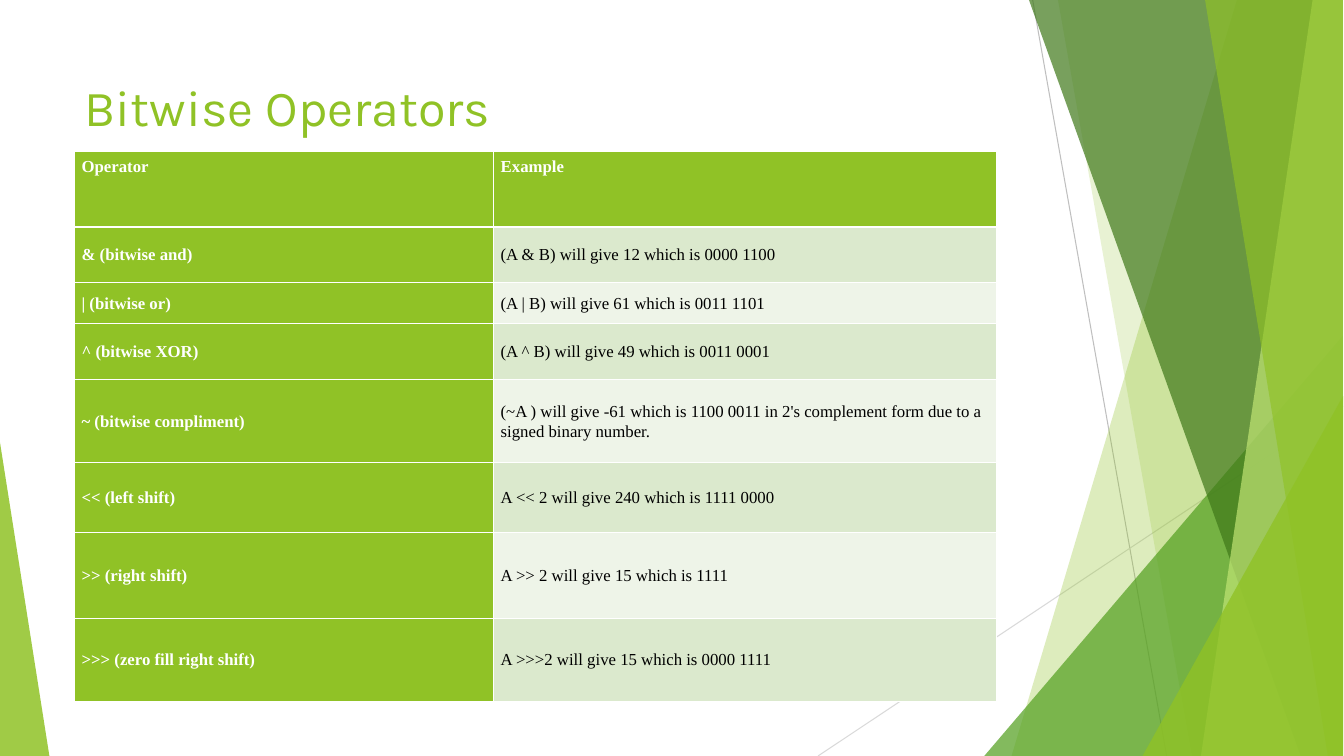
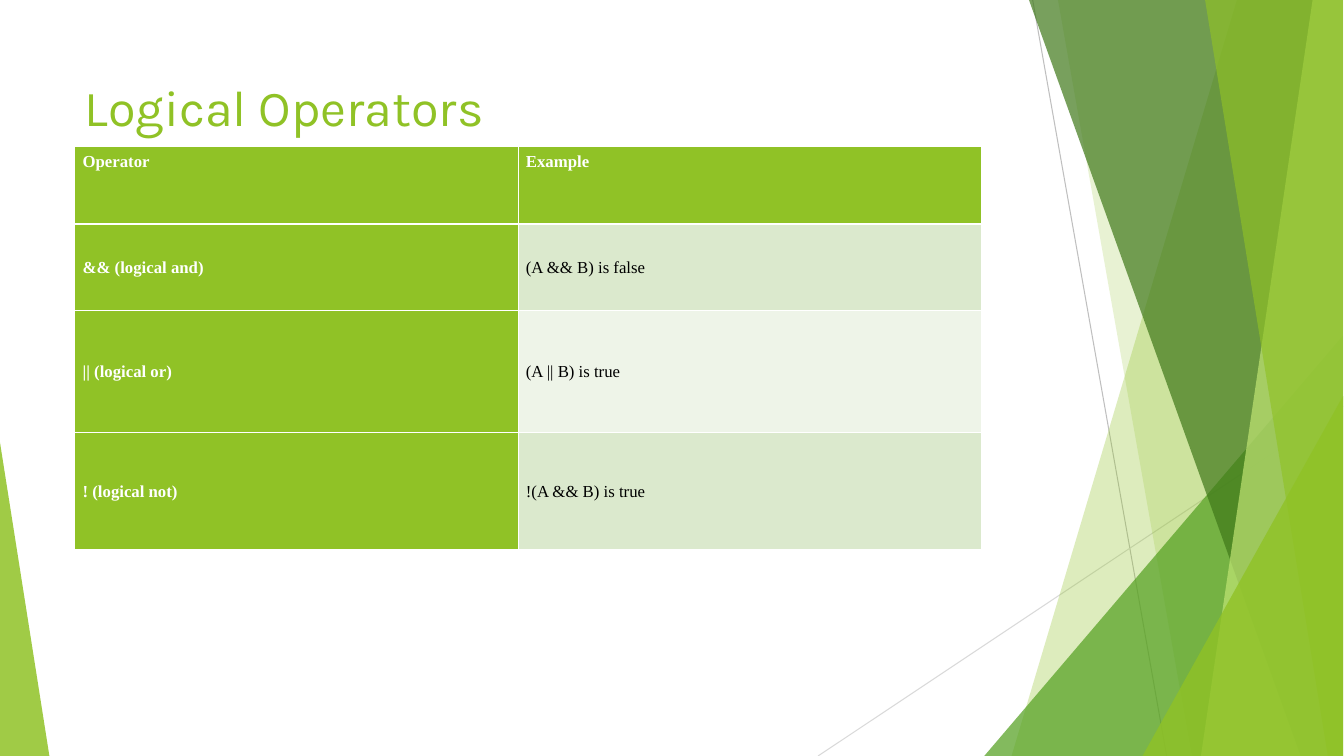
"""Build two slides of operator tables on a shared green faceted backdrop."""
from lxml import etree
from pptx import Presentation
from pptx.dml.color import RGBColor
from pptx.enum.shapes import MSO_CONNECTOR, MSO_SHAPE
from pptx.enum.text import MSO_ANCHOR, PP_ALIGN
from pptx.oxml.ns import qn
from pptx.util import Inches, Pt

STRAIGHT = MSO_CONNECTOR.STRAIGHT
TRIANGLE = MSO_SHAPE.ISOSCELES_TRIANGLE
MIDDLE = MSO_ANCHOR.MIDDLE
TOP = MSO_ANCHOR.TOP
LEFT = PP_ALIGN.LEFT

COLORS = {
    "lime": "90C226",
    "green": "54A021",
    "forest": "3F7819",
    "pale": "C0E474",
    "band_dark": "DBE9CD",
    "band_light": "EEF4E8",
    "line_dark": "BFBFBF",
    "line_light": "D9D9D9",
    "white": "FFFFFF",
    "black": "000000",
}
TITLE_FONT = "Karla"
TABLE_FONT = "Times New Roman"
TITLE_LAYOUT = 5
WIDTH, HEIGHT = 13.34, 7.5
EDGE = 13.33
FACET_TOP = -0.01
THIN, THICK = 0.45, 1.47


def rgb(name):
    return RGBColor.from_string(COLORS[name])


class OperatorDeck:
    """Hold the deck style and the current page."""

    def __init__(self):
        self.deck = Presentation()
        self.deck.slide_width = Inches(WIDTH)
        self.deck.slide_height = Inches(HEIGHT)
        self.layout = self.deck.slide_layouts[TITLE_LAYOUT]
        for holder in list(self.layout.placeholders)[1:]:
            holder.element.getparent().remove(holder.element)
        self.page = None

    def add_page(self, title):
        first = self.page is None
        self.page = self.deck.slides.add_slide(self.layout)
        if first:
            self.add_backdrop()
        self.add_title(title)

    def add_backdrop(self):
        self.add_line((10.25, 0), (11.58, HEIGHT), "line_dark")
        self.add_line((EDGE, 4.03), (8.12, HEIGHT), "line_light")
        self.add_facet(12.28, 10.04, "lime", 30)
        self.add_facet(10.5, 11.83, "lime", 20)
        self.add_triangle(9.77, 3.33, 3.56, 1, "green", 72)
        self.add_facet(10.21, 12.91, "forest", 70)
        self.add_facet(13.03, 11.92, "pale", 70)
        self.add_facet(11.96, 13.18, "lime", 65)
        self.add_triangle(11.34, 3.93, 1.99, 1, "lime", 80)
        self.add_triangle(0, 4.39, 0.49, 0, "lime", 85)
        for shape in list(self.page.shapes):
            if not shape.is_placeholder:
                self.layout.shapes.element.append(shape.element)

    def add_line(self, start, end, color):
        ends = [Inches(value) for value in (*start, *end)]
        line = self.page.shapes.add_connector(STRAIGHT, *ends)
        line.line.color.rgb = rgb(color)
        line.line.width = Pt(0.75)
        etree.SubElement(line.element.spPr, qn("a:effectLst"))

    def add_facet(self, top_x, bottom_x, color, opacity):
        start = Inches(top_x), Inches(FACET_TOP)
        corners = [(EDGE, FACET_TOP), (EDGE, HEIGHT), (bottom_x, HEIGHT)]
        builder = self.page.shapes.build_freeform(*start)
        builder.add_line_segments([(Inches(x), Inches(y)) for x, y in corners])
        self.paint(builder.convert_to_shape(), color, opacity)

    def add_triangle(self, left, top, width, apex, color, opacity):
        triangle = self.page.shapes.add_shape(
            TRIANGLE, Inches(left), Inches(top), Inches(width), Inches(HEIGHT - top)
        )
        triangle.adjustments[0] = apex
        self.paint(triangle, color, opacity)

    def paint(self, shape, color, opacity):
        shape.shadow.inherit = False
        shape.fill.solid()
        shape.fill.fore_color.rgb = rgb(color)
        shape.line.fill.background()
        tint = shape.element.spPr.find(".//" + qn("a:srgbClr"))
        etree.SubElement(tint, qn("a:alpha"), val=str(opacity * 1000))

    def add_title(self, text):
        box = self.page.shapes.title
        box.left, box.top = Inches(0.74), Inches(0.67)
        box.width, box.height = Inches(9.4), Inches(0.78)
        box.text_frame.word_wrap = True
        box.text_frame.vertical_anchor = MIDDLE
        para = box.text_frame.paragraphs[0]
        para.alignment = LEFT
        self.add_span(para, text, TITLE_FONT, 36, "lime")

    def add_span(self, para, text, font, size, color, bold=False):
        span = para.add_run()
        span.text = text
        span.font.name = font
        span.font.size = Pt(size)
        span.font.bold = bold
        span.font.color.rgb = rgb(color)

    def add_table(self, top, widths, heights, rows, inset):
        frame = self.page.shapes.add_table(
            len(rows), len(widths), Inches(0.74), Inches(top),
            Inches(sum(widths)), Inches(sum(heights)),
        )
        table = frame.table
        for column, width in zip(table.columns, widths):
            column.width = Inches(width)
        for row, height in zip(table.rows, heights):
            row.height = Inches(height)
        for row_index, texts in enumerate(rows):
            for column_index, text in enumerate(texts):
                cell = table.cell(row_index, column_index)
                self.fill_cell(cell, text, row_index, column_index, inset)

    def fill_cell(self, cell, text, row_index, column_index, inset):
        heading = row_index == 0 or column_index == 0
        band = "band_dark" if row_index % 2 else "band_light"
        self.add_borders(cell, row_index)
        cell.fill.solid()
        cell.fill.fore_color.rgb = rgb("lime" if heading else band)
        cell.vertical_anchor = MIDDLE if row_index else TOP
        cell.margin_left = cell.margin_right = Inches(inset)
        cell.margin_top = cell.margin_bottom = Inches(0.05)
        para = cell.text_frame.paragraphs[0]
        para.line_spacing = 1.07
        para.space_after = Pt(15)
        color = "white" if heading else "black"
        self.add_span(para, text, TABLE_FONT, 12, color, heading)

    def add_borders(self, cell, row_index):
        widths = {
            "a:lnL": THIN,
            "a:lnR": THIN,
            "a:lnT": THICK if row_index == 1 else THIN,
            "a:lnB": THICK if row_index == 0 else THIN,
        }
        properties = cell._tc.get_or_add_tcPr()
        for tag, width in widths.items():
            border = etree.SubElement(properties, qn(tag), w=str(int(Pt(width))))
            fill = etree.SubElement(border, qn("a:solidFill"))
            etree.SubElement(fill, qn("a:srgbClr"), val=COLORS["white"])

    def save(self):
        self.deck.save("out.pptx")


HEADER = ("Operator", "Example")
BITWISE_ROWS = [
    HEADER,
    ("& (bitwise and)", "(A & B) will give 12 which is 0000 1100"),
    ("| (bitwise or)", "(A | B) will give 61 which is 0011 1101"),
    ("^ (bitwise XOR)", "(A ^ B) will give 49 which is 0011 0001"),
    (
        "~ (bitwise compliment)",
        "(~A ) will give -61 which is 1100 0011 in 2's complement form "
        "due to a signed binary number.",
    ),
    ("<< (left shift)", "A << 2 will give 240 which is 1111 0000"),
    (">> (right shift)", "A >> 2 will give 15 which is 1111"),
    (">>> (zero fill right shift)", "A >>>2 will give 15 which is 0000 1111"),
]
LOGICAL_ROWS = [
    HEADER,
    ("&& (logical and)", "(A && B) is false"),
    ("|| (logical or)", "(A || B) is true"),
    ("! (logical not)", "!(A && B) is true"),
]


def main():
    deck = OperatorDeck()
    deck.add_page("Bitwise Operators")
    bitwise_heights = [0.75, 0.55, 0.41, 0.55, 0.83, 0.69, 0.85, 0.83]
    deck.add_table(1.5, [4.16, 4.99], bitwise_heights, BITWISE_ROWS, 0.07)
    deck.add_page("Logical Operators")
    logical_heights = [0.77, 0.86, 1.21, 1.16]
    deck.add_table(1.45, [4.4, 4.6], logical_heights, LOGICAL_ROWS, 0.08)
    deck.save()


if __name__ == "__main__":
    main()
